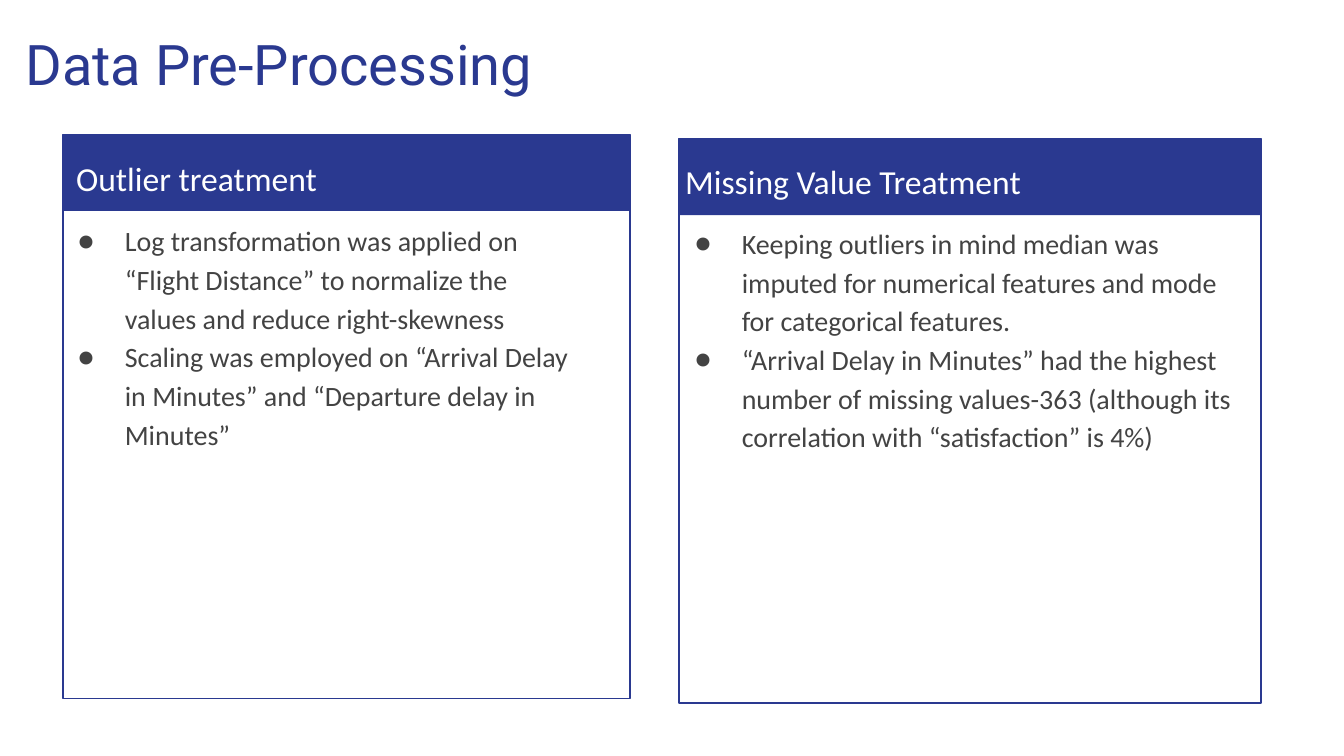
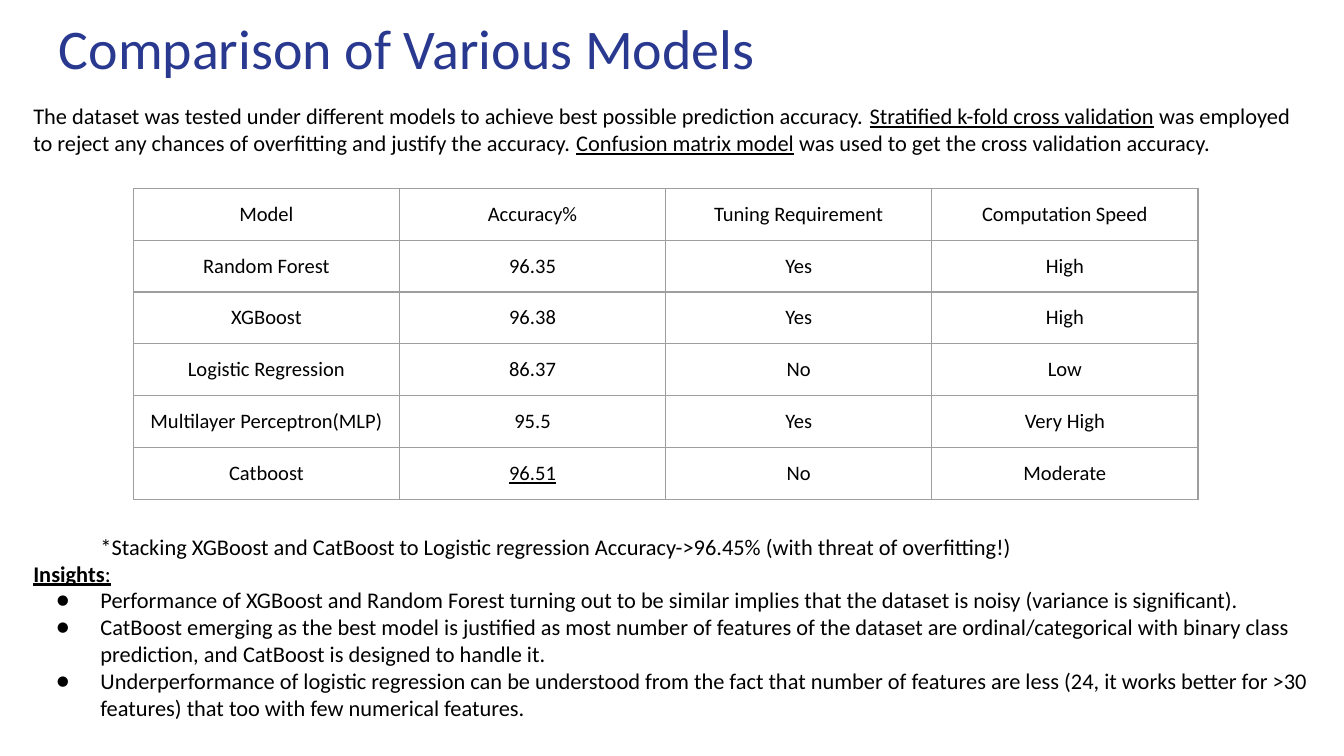
from lxml.etree import SubElement
from pptx import Presentation
from pptx.dml.color import RGBColor
from pptx.enum.shapes import MSO_SHAPE as Preset
from pptx.enum.text import MSO_ANCHOR as Anchor, PP_ALIGN as Align
from pptx.oxml.ns import qn
from pptx.util import Cm, Pt

NAVY = RGBColor(0x2A, 0x39, 0x90)
WHITE = RGBColor(0xFF, 0xFF, 0xFF)
BLACK = RGBColor(0, 0, 0)
CHARCOAL = RGBColor(0x43, 0x43, 0x43)
GRID_GRAY = RGBColor(0x9E, 0x9E, 0x9E)

FONT = "Calibri"
INSET = Cm(0.25)
INDENT = Cm(1.27)
BAND_HEIGHT = 1.45
PANEL_HEIGHT = 10.67

MODELS = [
    ("Model", "Accuracy%", "Tuning Requirement", "Computation Speed"),
    ("Random Forest", "96.35", "Yes", "High"),
    ("XGBoost", "96.38", "Yes", "High"),
    ("Logistic Regression", "86.37", "No", "Low"),
    ("Multilayer Perceptron(MLP)", "95.5", "Yes", "Very High"),
    ("Catboost", "96.51", "No", "Moderate"),
]
BEST_ACCURACY = "96.51"

INSIGHTS = [
    "Performance of XGBoost and Random Forest turning out to be similar implies that the "
    "dataset is noisy (variance is significant).",
    "CatBoost emerging as the best model is justified as most number of features of the dataset "
    "are ordinal/categorical with binary class prediction, and CatBoost is designed to handle it.",
    "Underperformance of logistic regression can be understood from the fact that number of "
    "features are less (24, it works better for >30 features) that too with few numerical features.",
]


def add_text_frame(slide, left, top, width, height):
    box = slide.shapes.add_textbox(Cm(left), Cm(top), Cm(width), Cm(height))
    frame = box.text_frame
    frame.word_wrap = True
    frame.vertical_anchor = Anchor.TOP
    frame.margin_left = frame.margin_right = INSET
    frame.margin_top = frame.margin_bottom = INSET
    return frame


def next_paragraph(frame):
    """Return the first paragraph while it is empty, then a new one each time."""
    first = frame.paragraphs[0]
    return frame.add_paragraph() if first.runs else first


def add_run(paragraph, text, size, color, font=FONT, bold=False, underline=False):
    run = paragraph.add_run()
    run.text = text
    run.font.name = font
    run.font.size = Pt(size)
    run.font.color.rgb = color
    run.font.bold = bold
    run.font.underline = underline


def set_indent(paragraph, first_line=0):
    properties = paragraph._p.get_or_add_pPr()
    properties.set("marL", str(INDENT))
    properties.set("indent", str(first_line))
    return properties


def add_bullet(frame, text, size, color, hanging, line_spacing=1.0):
    paragraph = next_paragraph(frame)
    paragraph.line_spacing = line_spacing
    properties = set_indent(paragraph, -Cm(hanging))
    bullet_color = SubElement(properties, qn("a:buClr"))
    SubElement(bullet_color, qn("a:srgbClr"), val=str(color))
    SubElement(properties, qn("a:buFont"), typeface=FONT)
    SubElement(properties, qn("a:buChar"), char="●")
    add_run(paragraph, text, size, color)


def add_title(slide, text, left, top, font=FONT):
    frame = add_text_frame(slide, left, top, 23.67, 1.68)
    add_run(frame.paragraphs[0], text, 30, NAVY, font)


def add_panel(slide, left, top, width):
    """Draw a filled header band and the outlined frame around it."""
    group = slide.shapes.add_group_shape()
    band, border = (
        group.shapes.add_shape(Preset.RECTANGLE, Cm(left), Cm(top), Cm(width), Cm(height))
        for height in (BAND_HEIGHT, PANEL_HEIGHT)
    )
    band.shadow.inherit = border.shadow.inherit = False
    band.fill.solid()
    band.fill.fore_color.rgb = NAVY
    band.line.fill.background()
    border.fill.background()
    border.line.color.rgb = NAVY
    border.line.width = Pt(0.75)


def add_panel_text(slide, heading, heading_box, bullets, bullets_box):
    paragraph = add_text_frame(slide, *heading_box).paragraphs[0]
    paragraph.line_spacing = 1.15
    add_run(paragraph, heading, 18, WHITE)
    frame = add_text_frame(slide, *bullets_box)
    for text in bullets:
        add_bullet(frame, text, 15, CHARCOAL, 0.89, 1.15)


def set_borders(cell):
    properties = cell._tc.get_or_add_tcPr()
    for position, side in enumerate(("lnL", "lnR", "lnT", "lnB")):
        line = properties.makeelement(qn(f"a:{side}"), {"w": str(Pt(0.75))})
        fill = SubElement(line, qn("a:solidFill"))
        SubElement(fill, qn("a:srgbClr"), val=str(GRID_GRAY))
        properties.insert(position, line)


def add_model_table(slide, left, top, column_width, row_height):
    rows, columns = len(MODELS), len(MODELS[0])
    table = slide.shapes.add_table(
        rows, columns, Cm(left), Cm(top), Cm(column_width * columns), Cm(row_height * rows)
    ).table
    table.first_row = table.horz_banding = False
    for column in table.columns:
        column.width = Cm(column_width)
    for row, values in zip(table.rows, MODELS):
        row.height = Cm(row_height)
        for cell, value in zip(row.cells, values):
            cell.fill.background()
            set_borders(cell)
            cell.margin_left = cell.margin_right = INSET
            cell.margin_top = cell.margin_bottom = INSET
            paragraph = cell.text_frame.paragraphs[0]
            paragraph.alignment = Align.CENTER
            add_run(paragraph, value, 11, BLACK, underline=value == BEST_ACCURACY)


def add_commentary(slide):
    """Write the introduction above the table and the insights below it."""
    frame = add_text_frame(slide, 0.38, 1.68, 24.64, 12.4)
    introduction = next_paragraph(frame)
    for text, underline in (
        ("The dataset was tested under different models to achieve best possible "
         "prediction accuracy. ", False),
        ("Stratified k-fold cross validation", True),
        (" was employed to reject any chances of overfitting and justify the accuracy. ", False),
        ("Confusion matrix model", True),
        (" was used to get the cross validation accuracy.", False),
    ):
        add_run(introduction, text, 12, BLACK, underline=underline)

    footnote = next_paragraph(frame)
    set_indent(footnote)
    footnote.space_before = Pt(202)
    add_run(footnote, "*Stacking XGBoost and CatBoost to Logistic regression "
            "Accuracy->96.45% (with threat of overfitting!)", 12, BLACK)

    heading = next_paragraph(frame)
    add_run(heading, "Insights", 12, BLACK, bold=True, underline=True)
    add_run(heading, ":", 12, BLACK, underline=True)
    for text in INSIGHTS:
        add_bullet(frame, text, 12, BLACK, 0.84)


def build_preprocessing(slide):
    add_title(slide, "Data Pre-Processing", 0.23, 0.3, "Roboto")
    add_panel(slide, 1.19, 2.54, 10.72)
    add_panel_text(
        slide, "Outlier treatment", (1.19, 2.62, 6.93, 1.27),
        ["Log transformation was applied on “Flight Distance” to normalize the values "
         "and reduce right-skewness",
         "Scaling was employed on “Arrival Delay in Minutes” and “Departure delay in Minutes”"],
        (0.84, 3.89, 10.19, 8.64),
    )
    add_panel(slide, 12.83, 2.62, 11)
    add_panel_text(
        slide, "Missing Value Treatment", (12.7, 2.67, 11.02, 1.27),
        ["Keeping outliers in mind median was imputed for numerical features and mode "
         "for categorical features.",
         "“Arrival Delay in Minutes” had the highest number of missing values-363 "
         "(although its correlation with “satisfaction” is 4%)"],
        (12.5, 3.94, 11.3, 10.34),
    )


def build_comparison(slide):
    add_title(slide, "Comparison of Various Models", 0.86, 0)
    add_commentary(slide)
    add_model_table(slide, 2.52, 3.56, 5.03, 0.98)


def main():
    presentation = Presentation()
    presentation.slide_width, presentation.slide_height = Cm(25.4), Cm(14.29)
    blank = presentation.slide_layouts[6]
    for build in (build_preprocessing, build_comparison):
        build(presentation.slides.add_slide(blank))
    presentation.save("out.pptx")


if __name__ == "__main__":
    main()
